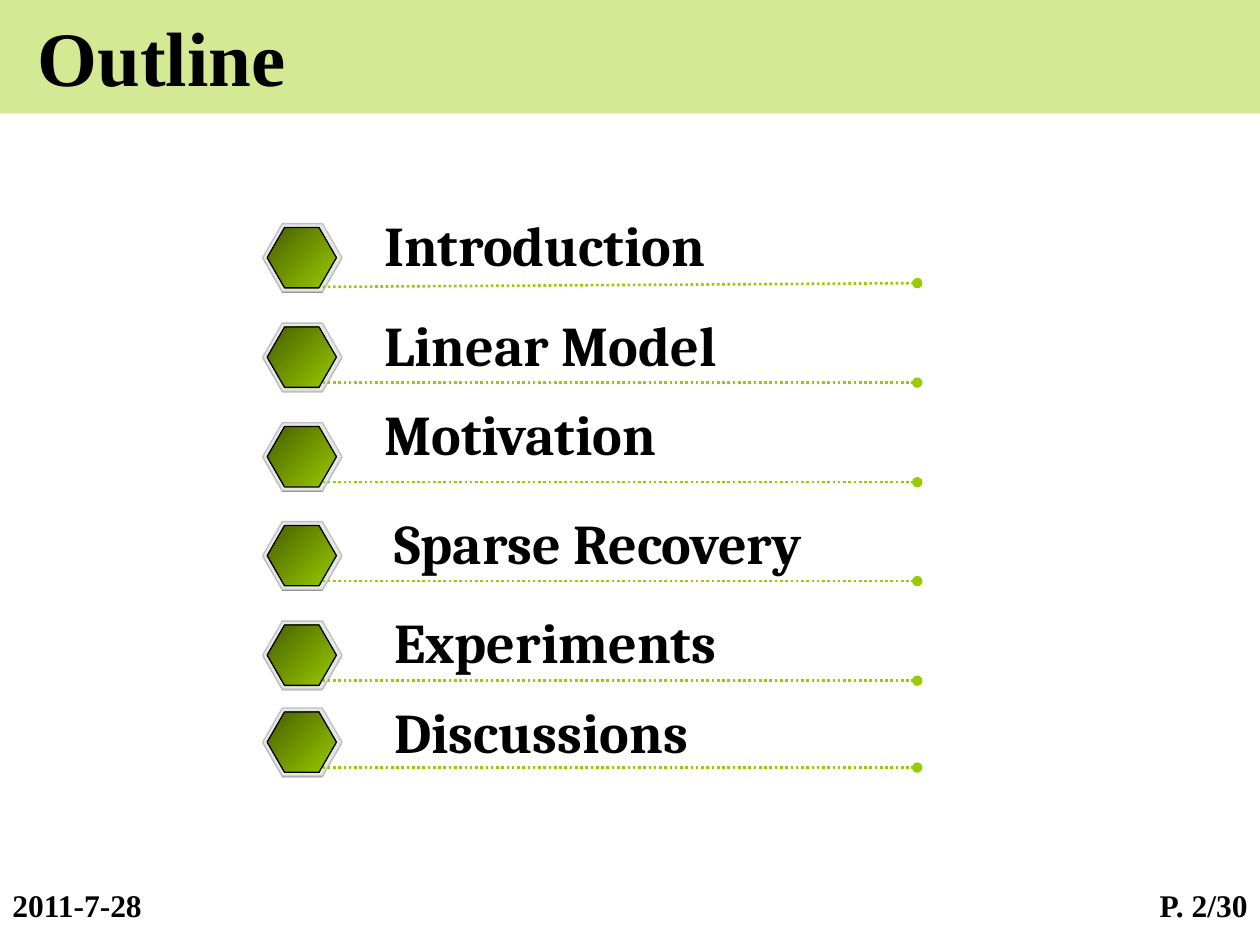
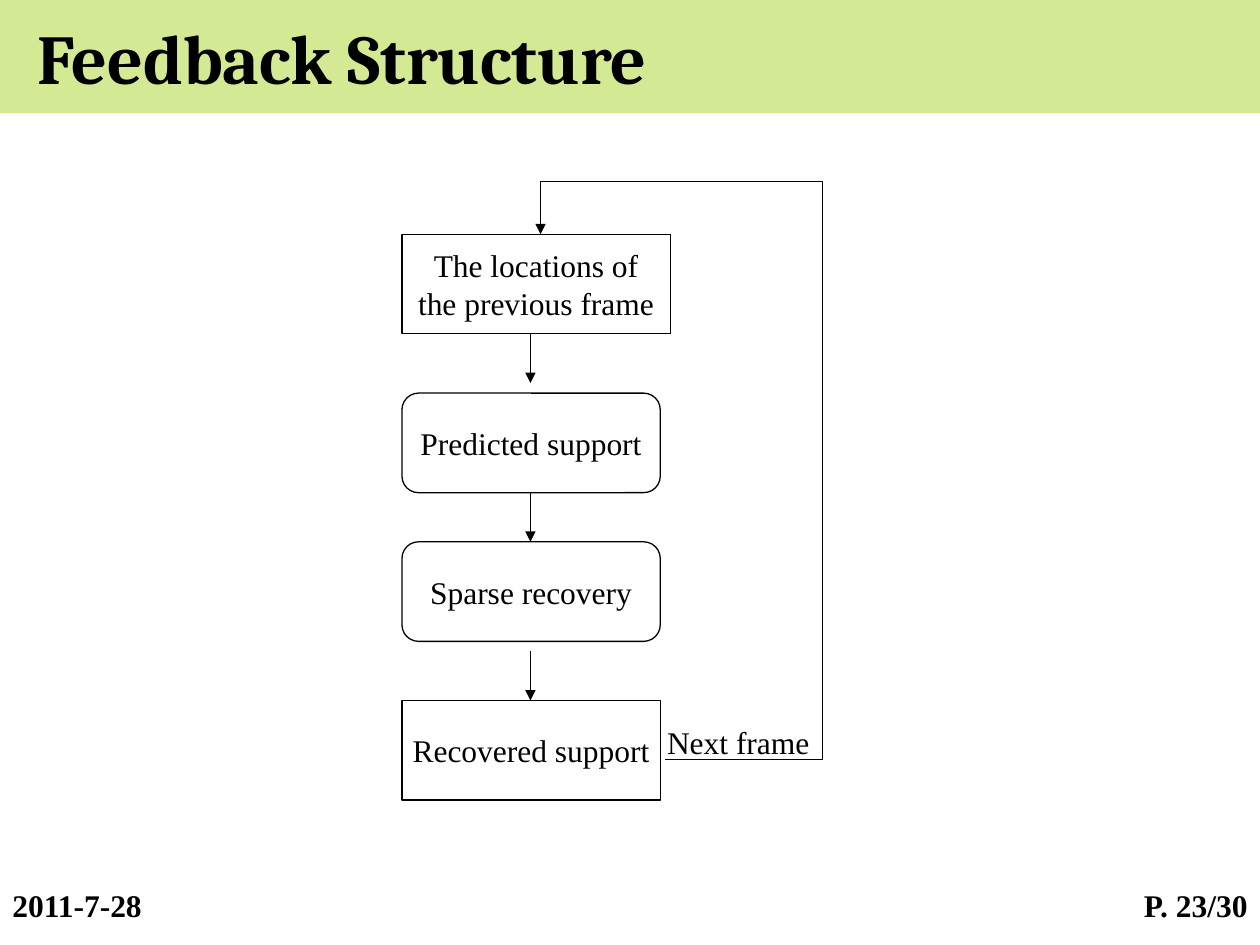
from lxml import etree
from pptx import Presentation
from pptx.dml.color import RGBColor
from pptx.enum.dml import MSO_LINE
from pptx.enum.shapes import MSO_CONNECTOR, MSO_SHAPE
from pptx.enum.text import MSO_ANCHOR, PP_ALIGN
from pptx.oxml.ns import qn
from pptx.util import Inches, Pt

# Grid: 100 columns by 75 rows of square cells
SLIDE_W, SLIDE_H = Inches(10), Inches(7.5)
COLUMNS = 100
CELL = SLIDE_W / COLUMNS

BLACK = RGBColor(0x00, 0x00, 0x00)
LIME = RGBColor(0x99, 0xCC, 0x00)
DARK_LIME = RGBColor(0x47, 0x5E, 0x00)
RIM_GREY = RGBColor(0xE6, 0xE6, 0xE6)
RIM_EDGE = RGBColor(0xC0, 0xC0, 0xC0)
RIM_SHADE = RGBColor(0x80, 0x80, 0x80)

SERIF, DISPLAY = "Times New Roman", "Cambria"
FOOTER_FONT = dict(name=SERIF, size=Pt(18), bold=True)
TOPIC_FONT = dict(name=DISPLAY, size=Pt(32), bold=True)
STEP_FONT = dict(name=SERIF, size=Pt(18), bold=False)

LEFT, CENTER, RIGHT = PP_ALIGN.LEFT, PP_ALIGN.CENTER, PP_ALIGN.RIGHT
TOP, MIDDLE = MSO_ANCHOR.TOP, MSO_ANCHOR.MIDDLE
STRAIGHT, ELBOW = MSO_CONNECTOR.STRAIGHT, MSO_CONNECTOR.ELBOW
HEXAGON, PROCESS = MSO_SHAPE.HEXAGON, MSO_SHAPE.FLOWCHART_PROCESS
RECTANGLE, ROUNDED = MSO_SHAPE.RECTANGLE, MSO_SHAPE.FLOWCHART_ALTERNATE_PROCESS
DOTTED = MSO_LINE.ROUND_DOT

DATE, PAGE_COUNT = "2011-7-28", 30

# Outline rows: topic, text column, text row, marker row
TOPICS = [
    ("Introduction", 29.5, 16.2, 17.75),
    ("Linear Model", 29.5, 24.15, 25.65),
    ("Motivation", 29.5, 31.2, 33.55),
    ("Sparse Recovery", 30.3, 39.9, 41.4),
    ("Experiments", 30.3, 47.75, 49.3),
    ("Discussions", 30.3, 54.85, 56.2),
]

# Flow steps: lines of text, outline, row, width
STEPS = [
    (["The locations of", "the previous frame"], RECTANGLE, 18.6, 21.3),
    (["Predicted support"], ROUNDED, 31.2, 20.5),
    (["Sparse recovery"], ROUNDED, 43, 20.5),
    (["Recovered support"], RECTANGLE, 55.6, 20.5),
]
STEP_LEFT, STEP_HEIGHT = 31.9, 7.9
ARROW_COLUMN, ARROW_LENGTH = 42.1, 3.9
ARROW_ROWS = [26.5, 39.1, 51.7]


def cells(*counts):
    return [round(count * CELL) for count in counts]


def write(shape, lines, font, align=LEFT, anchor=TOP, wrap=True):
    frame = shape.text_frame
    frame.text = "\n".join(lines)
    frame.word_wrap = wrap
    frame.vertical_anchor = anchor
    for paragraph in frame.paragraphs:
        paragraph.alignment = align
        for attribute, value in font.items():
            setattr(paragraph.font, attribute, value)
        paragraph.font.color.rgb = BLACK


def add_label(slide, place, text, font, **layout):
    write(slide.shapes.add_textbox(*cells(*place)), [text], font, **layout)


def add_outline(slide, preset, place, fill=None, edge=None):
    """Preset shape with an optional solid fill and thin edge."""
    shape = slide.shapes.add_shape(preset, *cells(*place))
    shape.shadow.inherit = False
    if fill is None:
        shape.fill.background()
    else:
        shape.fill.solid()
        shape.fill.fore_color.rgb = fill
    if edge is None:
        shape.line.fill.background()
    else:
        shape.line.color.rgb = edge
        shape.line.width = Pt(0.75)
    return shape


def add_line(slide, start, end, color, width, tip, kind=STRAIGHT, dash=None):
    line = slide.shapes.add_connector(kind, *cells(*start, *end))
    line.line.color.rgb = color
    line.line.width = Pt(width)
    if dash is not None:
        line.line.dash_style = dash
    properties = line.element.spPr
    etree.SubElement(properties.find(qn("a:ln")), qn("a:tailEnd"), type=tip)
    etree.SubElement(properties, qn("a:effectLst"))
    return line


def add_page(deck, title, title_font, number):
    """Blank slide with the title band and both footers."""
    slide = deck.slides.add_slide(deck.slide_layouts[6])
    band = add_outline(slide, PROCESS, (0, 0, COLUMNS, 9), LIME)
    tint = band.element.spPr.find(qn("a:solidFill"))[0]
    etree.SubElement(tint, qn("a:alpha"), val="42000")
    add_label(slide, (0, 69.8, 23.3, 5.2), DATE, FOOTER_FONT)
    add_label(slide, (77.2, 69.8, 22.8, 5.2), f"P. {number}/{PAGE_COUNT}",
              FOOTER_FONT, align=RIGHT)
    add_label(slide, (2, 0.6, 98, 7.7), title, title_font, anchor=MIDDLE)
    return slide


def add_marker(slide, row):
    """Hexagon button: shade, rim and gradient face."""
    layers = [
        ((20.85, row + 0.1, 6.3, 5.4), RIM_SHADE, None),
        ((20.85, row, 6.3, 5.4), RIM_GREY, RIM_EDGE),
        ((21.2, row + 0.3, 5.5, 4.8), LIME, BLACK),
    ]
    for place, fill, edge in layers:
        face = add_outline(slide, HEXAGON, place, fill, edge)
        face.adjustments[0] = 0.288
    face.fill.gradient()
    face.fill.gradient_angle = 315
    for position, color in enumerate((DARK_LIME, LIME)):
        stop = face.fill.gradient_stops[position]
        stop.color.rgb = color
        stop.position = position


def add_feedback_loop(slide):
    """Arrow that leaves the last step, runs up the right and enters the first."""
    start, end, corner = (52.8, 60.3), (42.9, 18.6), (65.3, 14.4)
    loop = add_line(slide, start, end, BLACK, 0.75, "triangle", ELBOW)
    geometry = loop.element.spPr.find(qn("a:prstGeom"))
    geometry.set("prst", "bentConnector4")
    guides = geometry.find(qn("a:avLst"))
    for axis in (0, 1):
        share = (corner[axis] - start[axis]) / (end[axis] - start[axis])
        etree.SubElement(guides, qn("a:gd"), name=f"adj{axis + 1}",
                         fmla=f"val {round(share * 100000)}")


def build_outline(deck):
    slide = add_page(deck, "Outline", dict(name=SERIF, size=Pt(44), bold=True), 2)
    for index, (topic, column, text_row, marker_row) in enumerate(TOPICS):
        add_marker(slide, marker_row)
        rule_row = marker_row + 4.72
        rise = 0.3 if index == 0 else 0  # the first rule slopes a little
        add_line(slide, (25.6, rule_row + rise), (72.8, rule_row), LIME, 1.5,
                 "oval", dash=DOTTED)
        add_label(slide, (column, text_row, 48.8, 6.4), topic, TOPIC_FONT)


def build_feedback(deck):
    slide = add_page(deck, "Feedback Structure",
                     dict(name=DISPLAY, size=Pt(40), bold=True), 23)
    for lines, preset, row, width in STEPS:
        step = add_outline(slide, preset, (STEP_LEFT, row, width, STEP_HEIGHT),
                           edge=BLACK)
        write(step, lines, STEP_FONT, CENTER, MIDDLE, wrap=False)
    for row in ARROW_ROWS:
        add_line(slide, (ARROW_COLUMN, row), (ARROW_COLUMN, row + ARROW_LENGTH),
                 BLACK, 0.75, "triangle")
    add_feedback_loop(slide)
    # Wide enough for one line, which sits just above the loop
    add_label(slide, (51.1, 56.5, 15, 4.7), "Next frame", STEP_FONT,
              align=CENTER, anchor=MIDDLE)


def main():
    deck = Presentation()
    deck.slide_width, deck.slide_height = SLIDE_W, SLIDE_H
    build_outline(deck)
    build_feedback(deck)
    deck.save("out.pptx")


if __name__ == "__main__":
    main()
